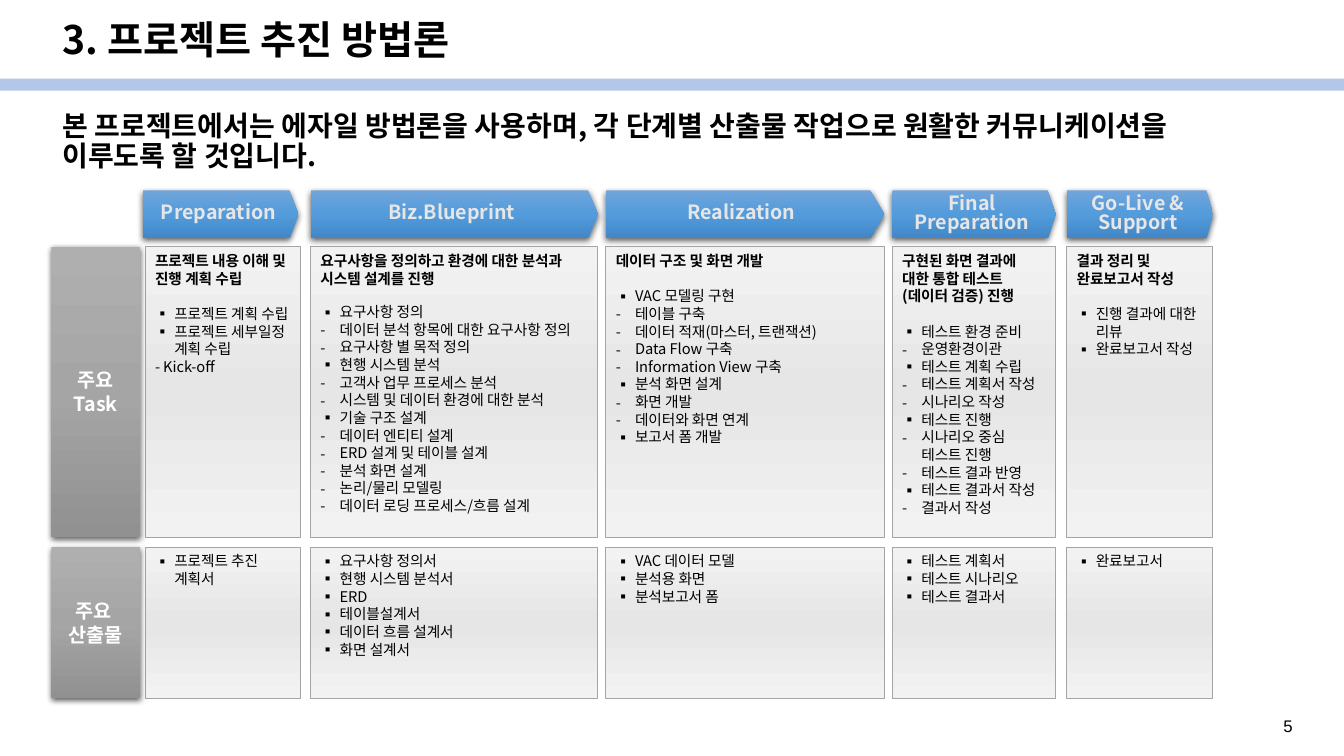
from copy import deepcopy

from lxml.etree import SubElement
from pptx import Presentation
from pptx.dml.color import RGBColor
from pptx.enum.shapes import MSO_SHAPE
from pptx.enum.text import MSO_ANCHOR, MSO_AUTO_SIZE, PP_ALIGN
from pptx.oxml.ns import qn
from pptx.util import Inches, Pt

BLACK = RGBColor(0x00, 0x00, 0x00)
WHITE = RGBColor(0xFF, 0xFF, 0xFF)
PALE = RGBColor(0xE7, 0xE6, 0xE6)
GREY = RGBColor(0xA5, 0xA5, 0xA5)
BAND = RGBColor(0xB4, 0xC7, 0xE7)
PANEL_FILL = (RGBColor(0xF2, 0xF2, 0xF2), RGBColor(0xE6, 0xE6, 0xE6), RGBColor(0xF2, 0xF2, 0xF2))
ARROW_FILL = (RGBColor(0x70, 0xA5, 0xDA), RGBColor(0x53, 0x9B, 0xDB), RGBColor(0x42, 0x88, 0xC8))
LABEL_FILL = (RGBColor(0xAF, 0xAF, 0xAF), GREY, RGBColor(0x91, 0x91, 0x91))

ARROW_TOP, ARROW_HEIGHT = 1.89, 0.47
TASK_TOP, TASK_HEIGHT = 2.45, 2.88
OUTPUT_TOP, OUTPUT_HEIGHT = 5.43, 1.5
HANGING = 0.19
TIGHT_HANGING = {"Kick-off": 0.08}

PHASES = [
    {"name": "Preparation", "left": 1.44, "arrow_left": 1.42, "width": 1.54, "point": 0.19, "gap": 12.6,
     "goal": "프로젝트 내용 이해 및 진행 계획 수립",
     "tasks": ["▪ 프로젝트 계획 수립", "▪ 프로젝트 세부일정 계획 수립", "- Kick-off"],
     "outputs": ["▪ 프로젝트 추진 계획서"]},
    {"name": "Biz.Blueprint", "left": 3.08, "arrow_left": 3.08, "width": 2.85, "point": 0.207, "gap": 11.3,
     "goal": "요구사항을 정의하고 환경에 대한 분석과 시스템 설계를 진행",
     "tasks": ["▪ 요구사항 정의", "- 데이터 분석 항목에 대한 요구사항 정의", "- 요구사항 별 목적 정의",
               "▪ 현행 시스템 분석", "- 고객사 업무 프로세스 분석", "- 시스템 및 데이터 환경에 대한 분석",
               "▪ 기술 구조 설계", "- 데이터 엔티티 설계", "- ERD 설계 및 테이블 설계",
               "- 분석 화면 설계", "- 논리/물리 모델링", "- 데이터 로딩 프로세스/흐름 설계"],
     "outputs": ["▪ 요구사항 정의서", "▪ 현행 시스템 분석서", "▪ ERD",
                 "▪ 테이블설계서", "▪ 데이터 흐름 설계서", "▪ 화면 설계서"]},
    {"name": "Realization", "left": 6.01, "arrow_left": 6.01, "width": 2.76, "point": 0.29, "gap": 12.6,
     "goal": "데이터 구조 및 화면 개발",
     "tasks": ["▪ VAC 모델링 구현", "- 테이블 구축", "- 데이터 적재(마스터, 트랜잭션)",
               "- Data Flow 구축", "- Information View 구축", "▪ 분석 화면 설계",
               "- 화면 개발", "- 데이터와 화면 연계", "▪ 보고서 폼 개발"],
     "outputs": ["▪ VAC 데이터 모델", "▪ 분석용 화면", "▪ 분석보고서 폼"]},
    {"name": "Final Preparation", "left": 8.85, "arrow_left": 8.85, "width": 1.62, "point": 0.166, "gap": 12.6,
     "goal": "구현된 화면 결과에 대한 통합 테스트(데이터 검증) 진행",
     "tasks": ["▪ 테스트 환경 준비", "- 운영환경이관", "▪ 테스트 계획 수립", "- 테스트 계획서 작성",
               "- 시나리오 작성", "▪ 테스트 진행", "- 시나리오 중심 테스트 진행",
               "- 테스트 결과 반영", "▪ 테스트 결과서 작성", "- 결과서 작성"],
     "outputs": ["▪ 테스트 계획서", "▪ 테스트 시나리오", "▪ 테스트 결과서"]},
    {"name": "Go-Live & Support", "left": 10.58, "arrow_left": 10.58, "width": 1.45, "point": 0.137, "gap": 12.6,
     "goal": "결과 정리 및 완료보고서 작성",
     "tasks": ["▪ 진행 결과에 대한 리뷰", "▪ 완료보고서 작성"],
     "outputs": ["▪ 완료보고서"]},
]


class SlideBuilder:
    font = "Noto Sans CJK KR"

    def __init__(self, slide):
        self.slide = slide

    def frame(self, s, anchor=MSO_ANCHOR.TOP, top=0.05):
        tf = s.text_frame
        tf.word_wrap = True
        tf.auto_size = MSO_AUTO_SIZE.NONE
        tf.vertical_anchor = anchor
        tf.margin_left = tf.margin_right = Inches(0.1)
        tf.margin_top, tf.margin_bottom = Inches(top), Inches(0.05)
        return tf

    def paragraph(self, tf, text, size, color=BLACK, bold=False, align=PP_ALIGN.LEFT, spacing=1.0, font=None):
        p = tf.paragraphs[0]
        if p.runs:
            p = tf.add_paragraph()
        p.alignment = align
        p.line_spacing = spacing
        r = p.add_run()
        r.text = text
        r.font.name = font or self.font
        r.font.size = Pt(size)
        r.font.bold = bold
        r.font.color.rgb = color
        SubElement(r.font._element, qn("a:ea"), typeface=font or self.font)
        return p

    def bullet(self, tf, item):
        mark, text = item.split(" ", 1)
        p = self.paragraph(tf, text, 10.5)
        indent = Inches(TIGHT_HANGING.get(text, HANGING))
        pPr = p._p.get_or_add_pPr()
        pPr.set("marL", str(indent))
        pPr.set("indent", str(-indent))
        SubElement(SubElement(pPr, qn("a:buClr")), qn("a:srgbClr"), val=str(BLACK))
        SubElement(pPr, qn("a:buFont"), typeface=self.font)
        SubElement(pPr, qn("a:buChar"), char=mark)

    def title(self, text, *box):
        s = self.slide.shapes.title
        s.left, s.top, s.width, s.height = map(Inches, box)
        self.paragraph(self.frame(s, MSO_ANCHOR.MIDDLE), text, 28, bold=True, spacing=0.9)

    def text(self, text, size, *box, **style):
        s = self.slide.shapes.add_textbox(*map(Inches, box))
        self.paragraph(self.frame(s), text, size, **style)

    def shape(self, kind, *box):
        s = self.slide.shapes.add_shape(kind, *map(Inches, box))
        s.shadow.inherit = False
        s.line.fill.background()
        return s

    def band(self, color, *box):
        s = self.shape(MSO_SHAPE.RECTANGLE, *box)
        s.fill.solid()
        s.fill.fore_color.rgb = color

    def gradient(self, s, colors):
        s.fill.gradient()
        s.fill.gradient_angle = 270
        stops = s._element.spPr.find(qn("a:gradFill")).find(qn("a:gsLst"))
        stops.append(deepcopy(stops[0]))
        for stop, color, position in zip(s.fill.gradient_stops, colors, (0, 0.5, 1)):
            stop.color.rgb = color
            stop.position = position

    def drop_shadow(self, s):
        effects = s._element.spPr.find(qn("a:effectLst"))
        shadow = SubElement(effects, qn("a:outerShdw"), blurRad=str(Pt(4.5)), dist=str(Pt(1.5)),
                            dir="5400000", algn="ctr", rotWithShape="0")
        color = SubElement(shadow, qn("a:srgbClr"), val=str(BLACK))
        SubElement(color, qn("a:alpha"), val="63000")

    def panel(self, items, *box, goal=None, gap=0):
        s = self.shape(MSO_SHAPE.RECTANGLE, *box)
        self.gradient(s, PANEL_FILL)
        s.line.color.rgb = GREY
        s.line.width = Pt(0.75)
        tf = self.frame(s)
        if goal:
            self.paragraph(tf, goal, 10.5, bold=True).space_after = Pt(gap)
        for item in items:
            self.bullet(tf, item)

    def raised(self, kind, adjustment, colors, *box):
        s = self.shape(kind, *box)
        s.adjustments[0] = adjustment
        self.gradient(s, colors)
        self.drop_shadow(s)
        return s

    def arrow(self, text, point, *box):
        s = self.raised(MSO_SHAPE.PENTAGON, point, ARROW_FILL, *box)
        self.paragraph(self.frame(s, MSO_ANCHOR.MIDDLE), text, 14, PALE, True, PP_ALIGN.CENTER, 0.8)

    def row_label(self, lines, *box):
        s = self.raised(MSO_SHAPE.ROUNDED_RECTANGLE, 0, LABEL_FILL, *box)
        tf = self.frame(s, MSO_ANCHOR.MIDDLE, top=0.04)
        for line in lines:
            self.paragraph(tf, line, 14, WHITE, True, PP_ALIGN.CENTER)


def main():
    prs = Presentation()
    prs.slide_width, prs.slide_height = Inches(13.33), Inches(7.5)
    builder = SlideBuilder(prs.slides.add_slide(prs.slide_layouts[5]))

    builder.band(BAND, 0, 0.78, 13.33, 0.12)
    builder.text("5", 12, 12.63, 7.05, 0.52, 0.27, font="Arial")
    builder.title("3. 프로젝트 추진 방법론", 0.52, 0.15, 11.5, 0.53)
    builder.text("본 프로젝트에서는 에자일 방법론을 사용하며, 각 단계별 산출물 작업으로 "
                 "원활한 커뮤니케이션을 이루도록 할 것입니다.",
                 20, 0.52, 1.06, 12.01, 0.71, bold=True, spacing=0.9)

    for phase in PHASES:
        left, width = phase["left"], phase["width"]
        builder.panel(phase["tasks"], left, TASK_TOP, width, TASK_HEIGHT, goal=phase["goal"], gap=phase["gap"])
        builder.panel(phase["outputs"], left, OUTPUT_TOP, width, OUTPUT_HEIGHT)
        builder.arrow(phase["name"], phase["point"], phase["arrow_left"], ARROW_TOP, width, ARROW_HEIGHT)

    builder.row_label(["주요 Task"], 0.51, TASK_TOP, 0.88, TASK_HEIGHT)
    builder.row_label(["주요 ", "산출물"], 0.51, OUTPUT_TOP, 0.88, OUTPUT_HEIGHT)
    prs.save("out.pptx")


if __name__ == "__main__":
    main()
